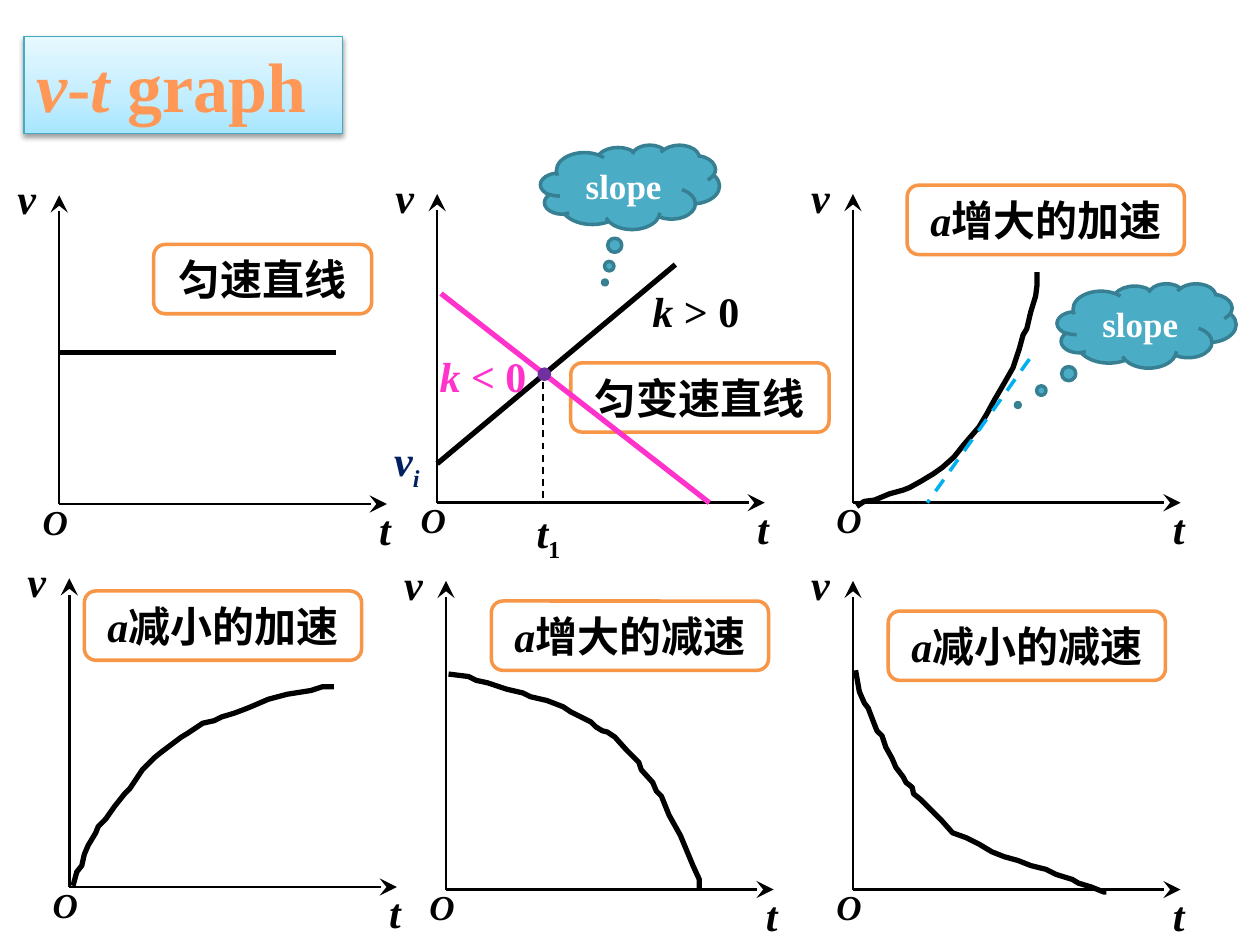
from copy import deepcopy
from dataclasses import dataclass

from lxml import etree
from pptx import Presentation
from pptx.dml.color import RGBColor
from pptx.enum.dml import MSO_LINE
from pptx.enum.shapes import MSO_CONNECTOR, MSO_SHAPE
from pptx.enum.text import MSO_ANCHOR, MSO_AUTO_SIZE, PP_ALIGN
from pptx.oxml.ns import qn
from pptx.util import Inches, Pt

STRAIGHT = MSO_CONNECTOR.STRAIGHT
DASH = MSO_LINE.DASH
ROUNDED, CLOUD, OVAL = MSO_SHAPE.ROUNDED_RECTANGLE, MSO_SHAPE.CLOUD_CALLOUT, MSO_SHAPE.OVAL
MIDDLE, TOP = MSO_ANCHOR.MIDDLE, MSO_ANCHOR.TOP
FIT_SHAPE, NO_FIT = MSO_AUTO_SIZE.SHAPE_TO_FIT_TEXT, MSO_AUTO_SIZE.NONE
LEFT, CENTER = PP_ALIGN.LEFT, PP_ALIGN.CENTER


@dataclass(frozen=True)
class Theme:
    font: str = "Times New Roman"
    title_size: int = 40
    label_size: int = 24
    small_size: int = 20
    ink: str = "000000"
    white: str = "FFFFFF"
    title: str = "FF9856"
    title_line: str = "46AAC5"
    title_stops: tuple = ((0, "A7E6FF"), (0.35, "C1EDFF"), (1, "E7F8FF"))
    box_line: str = "F79646"
    cloud: str = "4BACC6"
    cloud_line: str = "377F92"
    falling: str = "FF33CC"
    tangent: str = "00B0F0"
    initial: str = "002060"
    crossing: str = "7030A0"


THEME = Theme()

# Axis origins, in reading order
ORIGINS = [(0.47, 4), (3.47, 3.99), (6.77, 3.99), (0.55, 7.04), (3.54, 7.06), (6.77, 7.06)]

# Name boxes: left, top, width, italic symbol, wording
NAME_BOXES = [
    (1.22, 1.94, 1.73, "", "匀速直线"),
    (4.53, 2.88, 2.05, "", "匀变速直线"),
    (7.2, 1.47, 2.2, "a", "增大的加速"),
    (0.67, 4.69, 2.2, "a", "减小的加速"),
    (3.9, 4.77, 2.2, "a", "增大的减速"),
    (7.05, 4.85, 2.2, "a", "减小的减速"),
]

# Hand-drawn velocity curves
CURVES = [
    [(6.8, 4.02), (6.86, 3.98), (6.94, 3.97), (7.06, 3.92), (7.17, 3.89), (7.22, 3.87),
     (7.31, 3.82), (7.41, 3.76), (7.48, 3.71), (7.57, 3.63), (7.65, 3.53), (7.77, 3.39),
     (7.83, 3.29), (7.89, 3.18), (7.96, 3.06), (8.04, 2.92), (8.09, 2.77), (8.12, 2.66),
     (8.15, 2.61), (8.18, 2.48), (8.22, 2.35), (8.23, 2.27), (8.23, 2.16)],
    [(0.58, 7.03), (0.61, 6.92), (0.65, 6.87), (0.67, 6.78), (0.7, 6.71), (0.76, 6.61),
     (0.78, 6.56), (0.84, 6.5), (0.91, 6.4), (0.99, 6.3), (1.03, 6.26), (1.13, 6.11),
     (1.23, 6.01), (1.28, 5.97), (1.44, 5.85), (1.49, 5.82), (1.61, 5.74), (1.7, 5.72),
     (1.76, 5.69), (1.86, 5.66), (1.94, 5.63), (1.99, 5.61), (2.13, 5.55), (2.28, 5.51),
     (2.47, 5.48), (2.56, 5.45), (2.65, 5.45)],
    [(3.56, 5.35), (3.72, 5.37), (3.78, 5.4), (3.87, 5.42), (4.02, 5.47), (4.15, 5.5),
     (4.21, 5.53), (4.34, 5.56), (4.47, 5.61), (4.53, 5.65), (4.69, 5.73), (4.73, 5.77),
     (4.78, 5.8), (4.82, 5.81), (4.88, 5.85), (4.97, 5.95), (5.07, 6.05), (5.09, 6.11),
     (5.18, 6.21), (5.21, 6.28), (5.25, 6.32), (5.31, 6.47), (5.4, 6.63), (5.5, 6.87),
     (5.55, 6.98), (5.55, 7.05)],
    [(6.79, 5.32), (6.82, 5.49), (6.86, 5.58), (6.89, 5.62), (6.94, 5.75), (6.96, 5.8),
     (7, 5.84), (7.03, 5.93), (7.08, 6.02), (7.11, 6.09), (7.17, 6.17), (7.19, 6.21),
     (7.24, 6.25), (7.25, 6.3), (7.3, 6.34), (7.39, 6.43), (7.48, 6.52), (7.56, 6.61),
     (7.67, 6.65), (7.77, 6.7), (7.87, 6.76), (7.97, 6.8), (8.08, 6.83), (8.18, 6.87),
     (8.3, 6.9), (8.38, 6.94), (8.51, 6.98), (8.56, 7.01), (8.66, 7.04), (8.76, 7.08),
     (8.78, 7.08)],
]


def color(value):
    return RGBColor.from_string(value)


def inches(*values):
    return [Inches(value) for value in values]


def write(frame, runs, size, ink, align=LEFT, half_space=False):
    """Each run is (text, style): 'i' means italic and 's' subscript."""
    paragraph = frame.paragraphs[0]
    paragraph.alignment = align
    if half_space:
        paragraph.space_before = Pt(0)
        spacing = paragraph._p.pPr.find(qn("a:spcBef"))
        spacing.remove(spacing[0])
        etree.SubElement(spacing, qn("a:spcPct")).set("val", "50000")
    font = paragraph.font
    font.name, font.size, font.bold = THEME.font, Pt(size), True
    font.color.rgb = color(ink)
    for text, style in runs:
        run = paragraph.add_run()
        run.text = text
        if "i" in style:
            run.font.italic = True
        if "s" in style:
            run.font._element.set("baseline", "-25000")


def add_label(slide, left, top, width, runs, size=THEME.label_size, ink=THEME.ink):
    height = 0.5 if size == THEME.label_size else 0.44
    frame = slide.shapes.add_textbox(*inches(left, top, width, height)).text_frame
    frame.word_wrap = True
    frame.auto_size = FIT_SHAPE
    write(frame, runs, size, ink, half_space=True)


def add_line(slide, start, end, ink=THEME.ink, weight=3, dash=None, arrow=False):
    connector = slide.shapes.add_connector(STRAIGHT, *inches(*start, *end))
    connector.line.color.rgb = color(ink)
    connector.line.width = Pt(weight)
    if dash:
        connector.line.dash_style = dash
    properties = connector.element.spPr
    if arrow:
        tail = etree.SubElement(properties.find(qn("a:ln")), qn("a:tailEnd"))
        for name, value in (("type", "stealth"), ("w", "lg"), ("len", "lg")):
            tail.set(name, value)
    etree.SubElement(properties, qn("a:effectLst"))


def add_preset(slide, kind, bounds, fill, outline):
    shape = slide.shapes.add_shape(kind, *inches(*bounds))
    shape.shadow.inherit = False
    shape.fill.solid()
    shape.fill.fore_color.rgb = color(fill)
    shape.line.color.rgb = color(outline)
    shape.line.width = Pt(2)
    shape.text_frame.vertical_anchor = MIDDLE
    return shape


def add_name_box(slide, left, top, width, symbol, wording):
    box = add_preset(slide, ROUNDED, (left, top, width, 0.55), THEME.white, THEME.box_line)
    runs = [(symbol, "i")] if symbol else []
    write(box.text_frame, runs + [(wording, "")], THEME.label_size, THEME.ink, CENTER)


def add_slope_cloud(slide, left, top, pointer):
    cloud = add_preset(slide, CLOUD, (left, top, 1.42, 0.67), THEME.cloud, THEME.cloud_line)
    for index, value in enumerate(pointer):
        cloud.adjustments[index] = value
    write(cloud.text_frame, [("slope", "")], THEME.small_size, THEME.white, CENTER)


def add_axes(slide, x, y):
    add_line(slide, (x, y), (x, y - 2.45), weight=1.5, arrow=True)
    add_line(slide, (x, y), (x + 2.6, y), weight=1.5, arrow=True)
    add_label(slide, x - 0.43, y - 2.68, 1.1, [("v", "i")])
    add_label(slide, x + 2.44, y - 0.05, 0.51, [("t", "i")])
    add_label(slide, x - 0.23, y - 0.08, 0.47, [("O", "i")], THEME.small_size)


def add_curve(slide, points):
    points = [inches(*point) for point in points]
    builder = slide.shapes.build_freeform(*points[0])
    builder.add_line_segments(points[1:], close=False)
    curve = builder.convert_to_shape()
    curve.shadow.inherit = False
    curve.fill.background()
    curve.line.color.rgb = color(THEME.ink)
    curve.line.width = Pt(3)


def format_title(title):
    title.left, title.top, title.width, title.height = inches(0.19, 0.29, 2.53, 0.77)
    # Three-stop gradient, darkest at the bottom
    title.fill.gradient()
    title.fill.gradient_angle = 90
    stop_list = title.element.spPr.find(qn("a:gradFill")).find(qn("a:gsLst"))
    stop_list.insert(1, deepcopy(stop_list[0]))
    for stop, (position, value) in zip(title.fill.gradient_stops, THEME.title_stops):
        stop.position = position
        stop.color.rgb = color(value)
    title.line.color.rgb = color(THEME.title_line)
    title.line.width = Pt(0.75)
    # Soft shadow below
    effects = etree.SubElement(title.element.spPr, qn("a:effectLst"))
    shadow = etree.SubElement(effects, qn("a:outerShdw"), blurRad=str(Pt(3.1)),
                              dist=str(Pt(1.6)), dir="5400000", rotWithShape="0")
    shade = etree.SubElement(shadow, qn("a:srgbClr"), val=THEME.ink)
    etree.SubElement(shade, qn("a:alpha"), val="38000")
    frame = title.text_frame
    frame.vertical_anchor, frame.auto_size = TOP, NO_FIT
    runs = [("v", "i"), ("-", ""), ("t", "i"), (" graph", "")]
    write(frame, runs, THEME.title_size, THEME.title, half_space=True)


def main():
    presentation = Presentation()
    presentation.slide_width, presentation.slide_height = inches(10, 7.5)
    slide = presentation.slides.add_slide(presentation.slide_layouts[5])
    format_title(slide.shapes.title)

    # Six graphs and their names
    for origin in ORIGINS:
        add_axes(slide, *origin)
    add_line(slide, (0.47, 2.8), (2.67, 2.8))
    add_line(slide, (3.47, 3.68), (5.36, 2.1))
    for points in CURVES:
        add_curve(slide, points)
    for box in NAME_BOXES:
        add_name_box(slide, *box)

    # Slopes
    add_line(slide, (8.17, 2.85), (7.36, 3.99), THEME.tangent, 2, DASH)
    add_slope_cloud(slide, 4.29, 1.15, (-0.14, 1.13))
    add_slope_cloud(slide, 8.39, 2.25, (-0.72, 0.94))
    add_line(slide, (3.5, 2.33), (5.63, 3.99), THEME.falling)
    add_label(slide, 5.08, 2.22, 1.26, [("k ", "i"), ("> 0", "")])
    add_label(slide, 3.39, 2.73, 1.26, [("k ", "i"), ("< 0", "")], ink=THEME.falling)

    # Initial velocity and crossing point
    add_label(slide, 3.03, 3.4, 0.63, [("v", "i"), ("i", "is")], ink=THEME.initial)
    add_preset(slide, OVAL, (4.28, 2.93, 0.08, 0.08), THEME.crossing, THEME.crossing)
    add_line(slide, (4.31, 3.03), (4.31, 3.97), weight=1, dash=DASH)
    add_label(slide, 4.16, 3.97, 0.51, [("t", "i"), ("1", "s")])

    presentation.save("out.pptx")


main()
